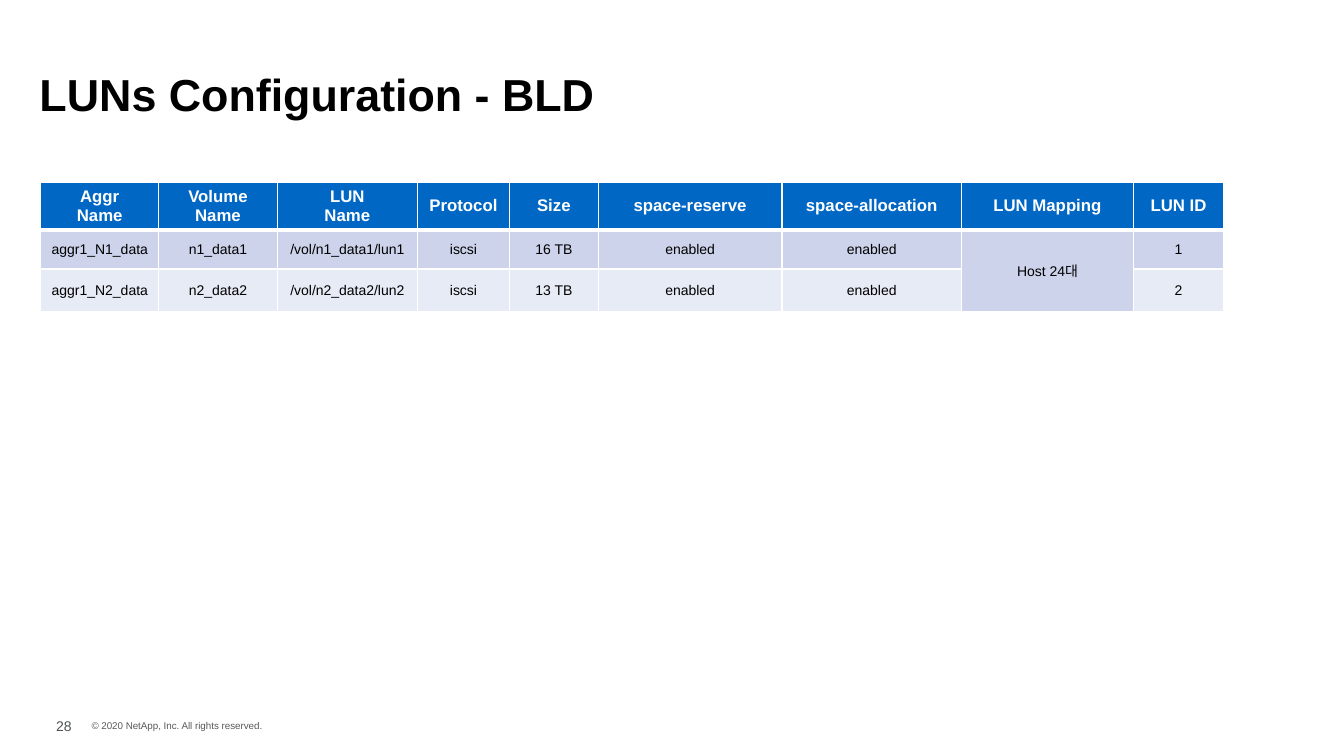
from lxml import etree
from pptx import Presentation
from pptx.dml.color import RGBColor
from pptx.enum.text import MSO_ANCHOR, MSO_AUTO_SIZE, PP_ALIGN
from pptx.oxml.ns import qn
from pptx.util import Pt

LEFT, CENTER = PP_ALIGN.LEFT, PP_ALIGN.CENTER
MIDDLE, BOTTOM = MSO_ANCHOR.MIDDLE, MSO_ANCHOR.BOTTOM
TITLE_ONLY = 5

COLORS = {
    "black": "000000",
    "white": "FFFFFF",
    "header": "0067C5",
    "band_dark": "CCD3EA",
    "band_light": "E7EBF5",
    "copyright": "595959",
    "page": "4E5252",
}


def write(frame, text, size, color="black", bold=False, align=LEFT, spacing=None):
    """Fill a text frame, one paragraph per line of text."""
    frame.text = text
    for paragraph in frame.paragraphs:
        paragraph.alignment = align
        if spacing:
            paragraph.line_spacing = spacing
        font = paragraph.runs[0].font
        font.name = "Arial"
        font.size = Pt(size)
        font.bold = bold
        font.color.rgb = RGBColor.from_string(COLORS[color])


def add_borders(cell, widths):
    """Draw white borders; widths maps lnL, lnR, lnT and lnB to points."""
    properties = cell._tc.get_or_add_tcPr()
    for side, width in widths.items():
        line = etree.SubElement(properties, qn(f"a:{side}"), w=str(Pt(width)))
        fill = etree.SubElement(line, qn("a:solidFill"))
        etree.SubElement(fill, qn("a:srgbClr"), val=COLORS["white"])


deck = Presentation()
deck.slide_width, deck.slide_height = Pt(960), Pt(540)
slide = deck.slides.add_slide(deck.slide_layouts[TITLE_ONLY])

title = slide.shapes.title
title.left, title.top, title.width, title.height = Pt(21), Pt(18), Pt(918), Pt(72)
title.text_frame.auto_size = MSO_AUTO_SIZE.NONE
title.text_frame.vertical_anchor = BOTTOM
write(title.text_frame, "LUNs Configuration - BLD", 32, bold=True, spacing=1.4)

# LUN table
COLUMN_WIDTHS = [84.5, 84.5, 100.3, 65.7, 63.4, 131.3, 128.2, 122.9, 64.5]
ROW_HEIGHTS = [34, 28, 30.5]
ROW_FILLS = ["header", "band_dark", "band_light"]
LUN_ROWS = [
    ["Aggr\nName", "Volume Name", "LUN\nName", "Protocol", "Size",
     "space-reserve", "space-allocation", "LUN Mapping", "LUN ID"],
    ["aggr1_N1_data", "n1_data1", "/vol/n1_data1/lun1", "iscsi", "16 TB",
     "enabled", "enabled", "Host 24대", "1"],
    ["aggr1_N2_data", "n2_data2", "/vol/n2_data2/lun2", "iscsi", "13 TB",
     "enabled", "enabled", "", "2"],
]
MAPPING = LUN_ROWS[0].index("LUN Mapping")

luns = slide.shapes.add_table(
    len(LUN_ROWS), len(COLUMN_WIDTHS), Pt(29), Pt(130),
    Pt(sum(COLUMN_WIDTHS)), Pt(sum(ROW_HEIGHTS))).table
for column, width in zip(luns.columns, COLUMN_WIDTHS):
    column.width = Pt(width)
for row, height in zip(luns.rows, ROW_HEIGHTS):
    row.height = Pt(height)
luns.cell(1, MAPPING).merge(luns.cell(2, MAPPING))

for r, values in enumerate(LUN_ROWS):
    is_header = r == 0
    for c, value in enumerate(values):
        cell = luns.cell(r, c)
        add_borders(cell, {"lnL": 1, "lnR": 1, "lnT": 3 if r == 1 else 1,
                           "lnB": 3 if is_header else 1})
        cell.fill.solid()
        cell.fill.fore_color.rgb = RGBColor.from_string(COLORS[ROW_FILLS[r]])
        cell.vertical_anchor = MIDDLE
        if value:
            write(cell.text_frame, value, 12 if is_header else 10,
                  "white" if is_header else "black", bold=is_header, align=CENTER)

# Footer
FOOTER = [
    ("© 2020 NetApp, Inc. All rights reserved.", 58.3, 510.5, 141, 16, 7, "copyright", False),
    ("28", 33, 509, 35, 21, 10, "page", True),
]
for text, left, top, width, height, size, color, wrap in FOOTER:
    frame = slide.shapes.add_textbox(Pt(left), Pt(top), Pt(width), Pt(height)).text_frame
    frame.word_wrap = wrap
    write(frame, text, size, color)

deck.save("out.pptx")
